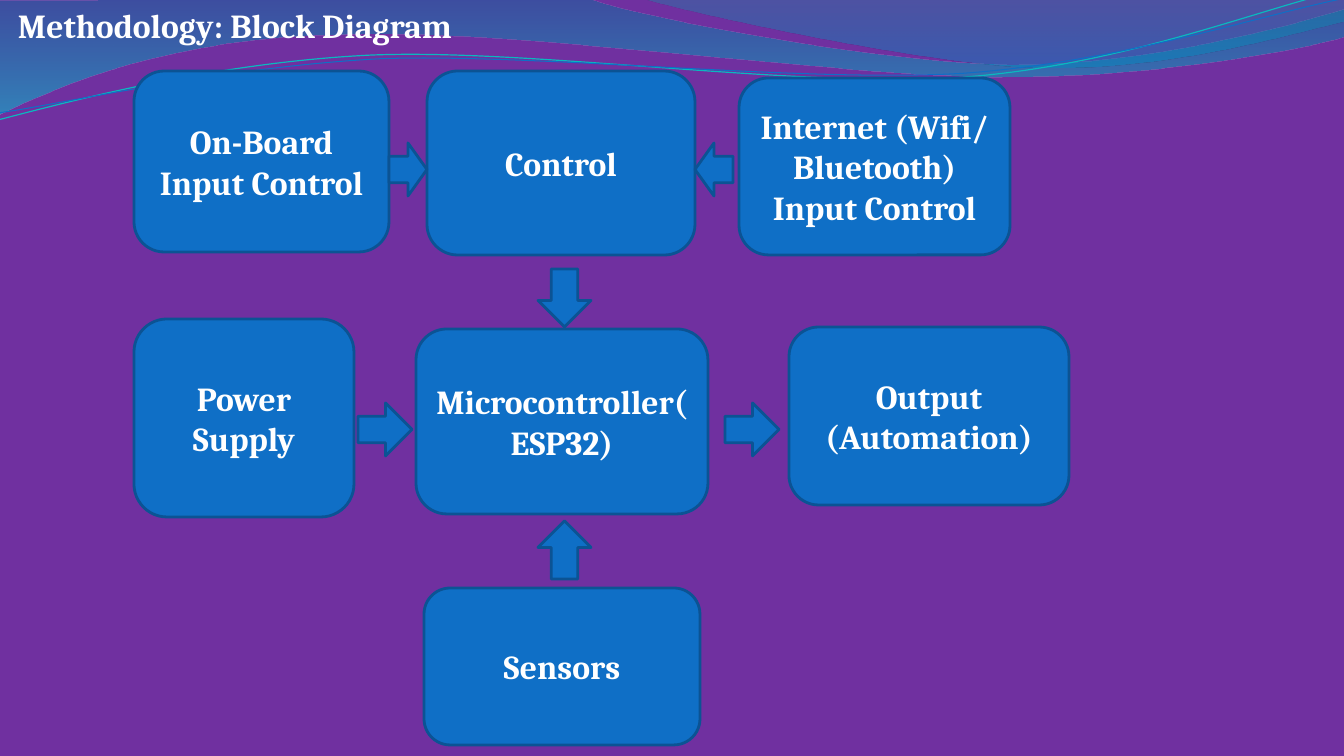
from lxml.etree import SubElement
from pptx import Presentation
from pptx.dml.color import RGBColor
from pptx.enum.shapes import MSO_SHAPE as Shape
from pptx.enum.text import MSO_ANCHOR as Anchor, MSO_AUTO_SIZE as AutoSize, PP_ALIGN as Align
from pptx.oxml.ns import qn
from pptx.util import Pt

EMU_PER_PX = 914400 / 100.8
WIDTH, HEIGHT = 1344, 756
PURPLE, BLUE, DARK_BLUE, WHITE = "7030A0", "0F6FC6", "0B5394", "FFFFFF"
FONT = "Cambria"

# Waves: a start point, then 2 numbers for a line or 6 for a Bezier curve.
# Gradient stops: position, colour, opacity in percent.
BANDS = [
    ((0, 1),
     [(592, 0), (639, 18, 892, 65, 1019, 65), (1147, 65, 1288, 27, 1344, 10),
      (1346, 37), (1322, 45, 1169, 78, 1002, 77), (836, 77, 513, 29, 346, 35),
      (173, 37, 61, 85, -1, 115), (0, 1)],
     [(0, "0074A1", 45), (1, "00C6CF", 55)]),
    ((644, 0),
     [(684, 12, 916, 63, 1033, 67), (1170, 71, 1292, 33, 1344, 22), (1344, 1),
      (644, 0)],
     [(0, "00A1A9", 30), (0.8, "008BBF", 45)]),
]
# Strands are laid out level and then tilted.
TILT = 357.3
STRANDS = [
    ((-3, 88),
     [(64, 74, 213, 41, 372, 41), (532, 42, 794, 94, 957, 91),
      (1118, 88, 1264, 36, 1344, 22)], "0AB8BF", 0.85),
    ((-2, 81),
     [(63, 75, 220, 46, 381, 45), (540, 47, 801, 89, 962, 87),
      (1123, 83, 1266, 42, 1347, 30)], BLUE, 0.75),
]

# Blocks: left, top, width, height, text
BLOCKS = [
    (134, 319, 220, 198, "Power Supply"),
    (416, 329, 292, 185, "Microcontroller(ESP32)"),
    (427, 71, 268, 184, "Control"),
    (424, 588, 276, 157, "Sensors"),
    (739, 78, 271, 177, "Internet (Wifi/ Bluetooth) Input Control"),
    (134, 71, 255, 181, "On-Board Input Control"),
    (789, 327, 280, 178, "Output\n(Automation)"),
]

# Arrows: left, top, width, height, preset, rotation
ARROWS = [
    (389, 143, 38, 53, Shape.RIGHT_ARROW, 0),
    (695, 143, 38, 53, Shape.RIGHT_ARROW, 180),
    (358, 403, 54, 53, Shape.RIGHT_ARROW, 0),
    (725, 403, 54, 53, Shape.RIGHT_ARROW, 0),
    (538, 269, 53, 58, Shape.DOWN_ARROW, 0),
    (538, 521, 53, 58, Shape.UP_ARROW, 0),
]


def px(length):
    return round(length * EMU_PER_PX)


def color(hex_code):
    return RGBColor.from_string(hex_code)


def style_text(frame, align):
    frame.word_wrap = True
    for para in frame.paragraphs:
        para.alignment = align
        for span in para.runs:
            span.font.name, span.font.size, span.font.bold = FONT, Pt(24), True
            span.font.color.rgb = color(WHITE)


def add_wave(page, start, steps, close):
    points = [(px(x), px(y)) for step in steps for x, y in zip(step[::2], step[1::2])]
    builder = page.shapes.build_freeform(*map(px, start))
    builder.add_line_segments(points, close=False)
    wave = builder.convert_to_shape()
    wave.shadow.inherit = False
    # Join each three points of a curve into one Bezier segment
    outline = next(wave.element.iter(qn("a:path")))
    corners = iter(outline.findall(qn("a:lnTo")))
    for step in steps:
        corner = next(corners)
        if len(step) == 6:
            corner.tag = qn("a:cubicBezTo")
            for follower in (next(corners), next(corners)):
                corner.append(follower[0])
                outline.remove(follower)
    if close:
        SubElement(outline, qn("a:close"))
    return wave


def draw_waves(page):
    # Translucent bands
    for start, steps, stops in BANDS:
        band = add_wave(page, start, steps, close=True)
        band.line.fill.background()
        band.fill.gradient()
        band.fill.gradient_angle = 270
        for stop, (position, hex_code, _) in zip(band.fill.gradient_stops, stops):
            stop.position = position
            stop.color.rgb = color(hex_code)
        # Opacity of each stop
        swatches = band.element.spPr.iter(qn("a:srgbClr"))
        for swatch, (_, _, opacity) in zip(swatches, stops):
            SubElement(swatch, qn("a:alpha")).set("val", str(opacity * 1000))
    # Thin strands
    for start, steps, hex_code, weight in STRANDS:
        strand = add_wave(page, start, steps, close=False)
        strand.rotation = TILT
        strand.fill.background()
        strand.line.color.rgb = color(hex_code)
        strand.line.width = Pt(weight)


def add_blue_shape(page, preset, *box):
    shape = page.shapes.add_shape(preset, *map(px, box))
    shape.shadow.inherit = False
    shape.fill.solid()
    shape.fill.fore_color.rgb = color(BLUE)
    shape.line.color.rgb = color(DARK_BLUE)
    shape.line.width = Pt(2)
    return shape


def draw_diagram(page):
    for *box, text in BLOCKS:
        block = add_blue_shape(page, Shape.ROUNDED_RECTANGLE, *box)
        block.text_frame.text = text
        block.text_frame.vertical_anchor = Anchor.MIDDLE
        style_text(block.text_frame, Align.CENTER)
    for *box, preset, rotation in ARROWS:
        add_blue_shape(page, preset, *box).rotation = rotation


def draw_title(page, *box):
    frame = page.shapes.add_textbox(*map(px, box)).text_frame
    frame.text = "Methodology: Block Diagram"
    frame.auto_size = AutoSize.SHAPE_TO_FIT_TEXT
    style_text(frame, Align.LEFT)


def main():
    deck = Presentation()
    deck.slide_width, deck.slide_height = px(WIDTH), px(HEIGHT)
    page = deck.slides.add_slide(deck.slide_layouts[6])
    page.background.fill.solid()
    page.background.fill.fore_color.rgb = color(PURPLE)
    draw_waves(page)
    draw_diagram(page)
    draw_title(page, 8, 0, 514, 50)
    deck.save("out.pptx")


if __name__ == "__main__":
    main()
